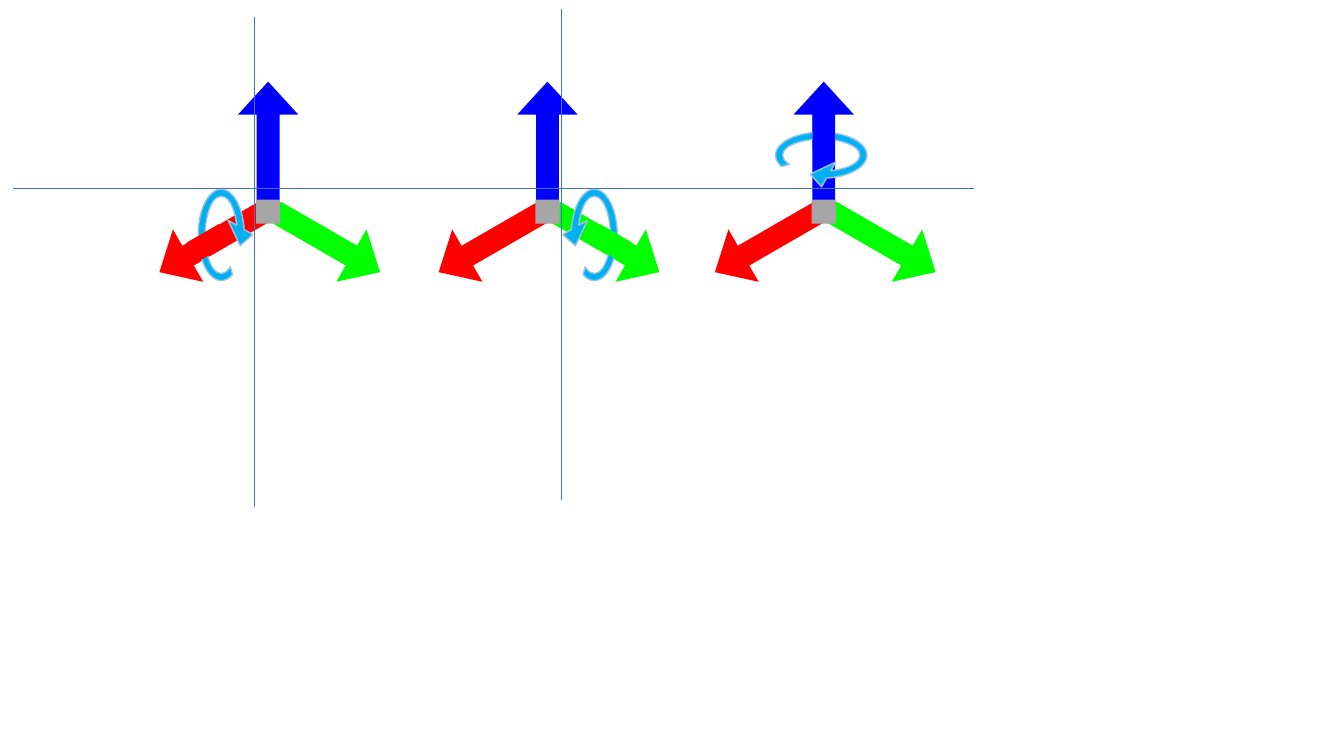
from pptx import Presentation
from pptx import util as u
from pptx.dml.color import RGBColor
from pptx.enum import shapes
from lxml import etree

RED = RGBColor(0xFF, 0x00, 0x00)
GREEN = RGBColor(0x00, 0xFF, 0x00)
BLUE = RGBColor(0x00, 0x00, 0xFF)
GREY = RGBColor(0xA6, 0xA6, 0xA6)
CYAN = RGBColor(0x00, 0xB0, 0xF0)
PALE_BLUE = RGBColor(0x9D, 0xC3, 0xE6)
GUIDE_BLUE = RGBColor(0x44, 0x72, 0xC4)

ROWS = 75
A = "http://schemas.openxmlformats.org/drawingml/2006/main"
KINDS = shapes.MSO_SHAPE


class AxesSlide:
    def __init__(self, deck):
        self.slide = deck.slides.add_slide(deck.slide_layouts[6])
        self.cell = deck.slide_height / ROWS

    def grid(self, *cells):
        return [u.Emu(round(n * self.cell)) for n in cells]

    def centred(self, kind, centre, size, fill, turn=0, adjust=()):
        (x, y), (w, h) = centre, size
        shape = self.slide.shapes.add_shape(
            kind, *self.grid(x - w / 2, y - h / 2, w, h))
        shape.rotation = turn
        shape.shadow.inherit = False
        shape.fill.solid()
        shape.fill.fore_color.rgb = fill
        shape.line.fill.background()
        for index, value in enumerate(adjust):
            shape.adjustments[index] = value
        return shape

    def axis(self, centre, colour, turn):
        self.centred(KINDS.RIGHT_ARROW, centre, (12, 6), colour, turn, (0.377, 0.546))

    def block(self, centre, size, colour, turn=0):
        self.centred(KINDS.RECTANGLE, centre, size, colour, turn)

    def spin(self, centre, turn, mirrored):
        ring = self.centred(KINDS.CIRCULAR_ARROW, centre, (6.7, 11.2), CYAN, turn,
                            (0.104, 31.789, 203.351, 44.426, 0.211))
        ring.line.color.rgb = PALE_BLUE
        ring.line.width = u.Pt(1)
        if mirrored:
            ring._element.spPr.xfrm.set("flipH", "1")

    def guide(self, start, end):
        line = self.slide.shapes.add_connector(
            shapes.MSO_CONNECTOR.STRAIGHT, *self.grid(*start, *end))
        line.line.color.rgb = GUIDE_BLUE
        line.line.width = u.Pt(0.5)
        etree.SubElement(line._element.spPr, f"{{{A}}}effectLst")


deck = Presentation()
deck.slide_width, deck.slide_height = u.Inches(13.33), u.Inches(7.5)
page = AxesSlide(deck)

ORIGIN_ROW = 21
AXES = [(GREEN, 30, 5.9, 3), (RED, 150, -5.6, 3), (BLUE, 270, 0, -6.9)]
ROTATIONS = [
    (26.6, (-4.65, 2.3), 0, False, (-5.95, 3.1), RED, 150),
    (54.3, (4.65, 2.3), 0, True, (6.25, 3.1), GREEN, 30),
    (81.7, (-0.25, -5.6), 90, False, (0, -7.9), BLUE, 270),
]

for origin, ring, ring_turn, mirrored, cover, colour, cover_turn in ROTATIONS:
    def from_origin(dx, dy):
        return origin + dx, ORIGIN_ROW + dy

    for axis_colour, turn, dx, dy in AXES:
        page.axis(from_origin(dx, dy), axis_colour, turn)
    page.block(from_origin(0, 0), (2.4, 2.4), GREY)
    page.spin(from_origin(*ring), ring_turn, mirrored)
    page.block(from_origin(*cover), (3.7, 2.2), colour, cover_turn)

page.guide((1.3, 18.7), (96.6, 18.7))
page.guide((25.2, 50.3), (25.2, 1.7))
page.guide((55.7, 49.6), (55.7, 0.9))

deck.save("out.pptx")
